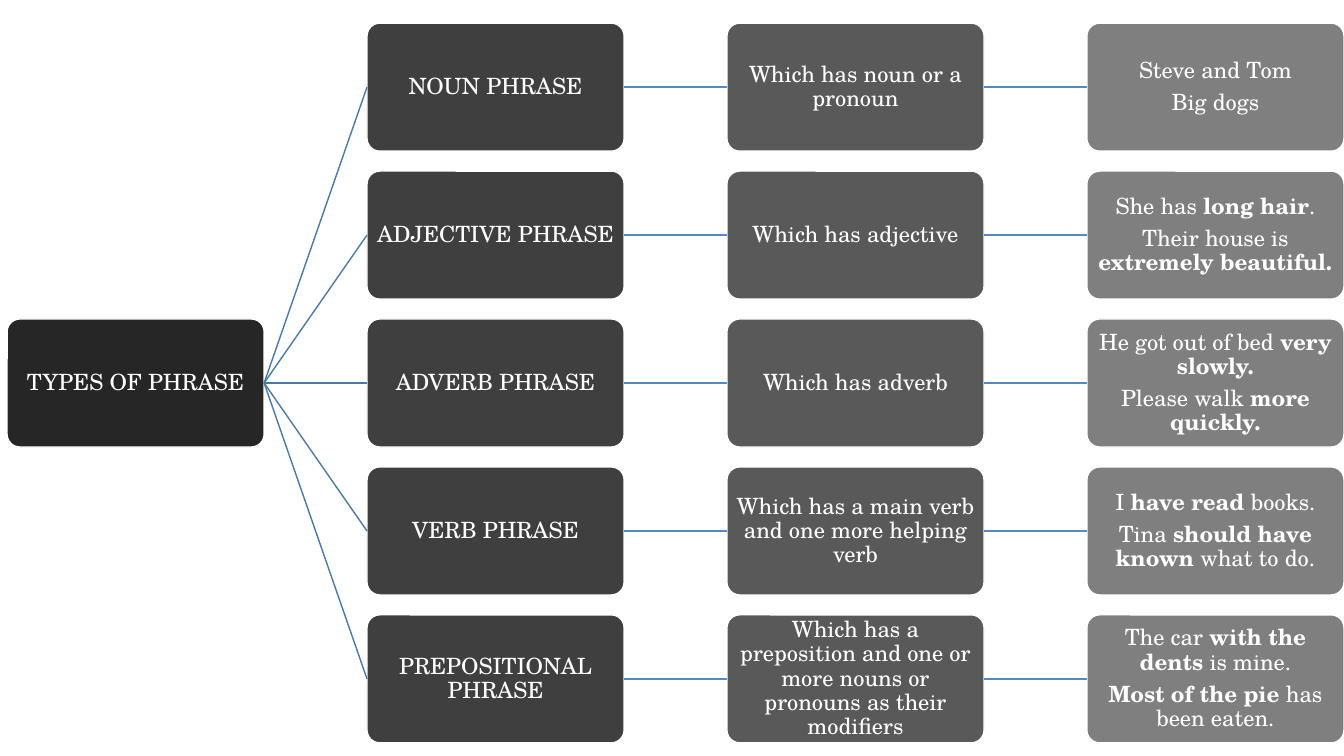
"""Build a slide with a tree of phrase types, their meanings and examples."""
from dataclasses import dataclass

from lxml import etree
from pptx import Presentation
from pptx.dml.color import RGBColor
from pptx.enum.shapes import MSO_CONNECTOR, MSO_SHAPE
from pptx.enum.text import MSO_ANCHOR, PP_ALIGN
from pptx.oxml.ns import qn
from pptx.shapes.autoshape import Shape
from pptx.slide import Slide
from pptx.util import Inches, Pt

ROUNDED = MSO_SHAPE.ROUNDED_RECTANGLE
STRAIGHT = MSO_CONNECTOR.STRAIGHT
MIDDLE = MSO_ANCHOR.MIDDLE
CENTER = PP_ALIGN.CENTER

WHITE = RGBColor(0xFF, 0xFF, 0xFF)
COLUMN_FILLS = (
    RGBColor(0x26, 0x26, 0x26),
    RGBColor(0x3F, 0x3F, 0x3F),
    RGBColor(0x59, 0x59, 0x59),
    RGBColor(0x7F, 0x7F, 0x7F),
)
BRANCH_BLUE = RGBColor(0x48, 0x7A, 0xA8)
LINK_BLUE = RGBColor(0x52, 0x8C, 0xBE)

FONT = "TeX Gyre Schola"
BOX_WIDTH, BOX_HEIGHT = 2.55, 1.27
FIRST_LEFT, COLUMN_STEP = 0.07, 3.57
FIRST_TOP, LAST_TOP = 0.23, 6.1
BLANK_LAYOUT = 6
LEFT_SITE, RIGHT_SITE = 1, 3
BOLD_MARK = "*"


@dataclass(frozen=True)
class PhraseType:
    """A phrase type; asterisks enclose the bold words of its examples."""

    name: str
    meaning: str
    examples: tuple[str, str]


PHRASE_TYPES = (
    PhraseType("NOUN PHRASE", "Which has noun or a pronoun",
               ("Steve and Tom", "Big dogs")),
    PhraseType("ADJECTIVE PHRASE", "Which has adjective",
               ("She has *long hair*.", "Their house is *extremely beautiful.*")),
    PhraseType("ADVERB PHRASE", "Which has adverb",
               ("He got out of bed *very slowly.*", "Please walk *more quickly.*")),
    PhraseType("VERB PHRASE", "Which has a main verb and one more helping verb",
               ("I *have read *books.", "Tina *should have known *what to do.")),
    PhraseType("PREPOSITIONAL PHRASE",
               "Which has a preposition and one or more nouns or pronouns as their modifiers",
               ("The car *with the dents* is mine.",
                "*Most of the pie* has been eaten.")),
)
ROW_STEP = (LAST_TOP - FIRST_TOP) / (len(PHRASE_TYPES) - 1)


def write_lines(box: Shape, lines: tuple[str, ...]) -> None:
    """Write one centred paragraph per line, with marked words in bold."""
    frame = box.text_frame
    frame.word_wrap = True
    frame.vertical_anchor = MIDDLE
    frame.margin_left = frame.margin_right = Inches(0.01)
    frame.margin_top = frame.margin_bottom = Inches(0.01)
    for index, line in enumerate(lines):
        para = frame.add_paragraph() if index else frame.paragraphs[0]
        para.alignment = CENTER
        para.line_spacing = 0.9
        para.space_before = Pt(5.6 if index else 0)
        for position, words in enumerate(line.split(BOLD_MARK)):
            if words:
                span = para.add_run()
                span.text = words
                span.font.name = FONT
                span.font.size = Pt(16)
                span.font.bold = position % 2 == 1
                span.font.color.rgb = WHITE


def add_box(page: Slide, column: int, row: int, lines: tuple[str, ...]) -> Shape:
    """Add a rounded box at a place in the grid."""
    box = page.shapes.add_shape(
        ROUNDED,
        Inches(FIRST_LEFT + column * COLUMN_STEP),
        Inches(FIRST_TOP + row * ROW_STEP),
        Inches(BOX_WIDTH),
        Inches(BOX_HEIGHT),
    )
    box.adjustments[0] = 0.1
    box.shadow.inherit = False
    box.fill.solid()
    box.fill.fore_color.rgb = COLUMN_FILLS[column]
    box.line.color.rgb = WHITE
    box.line.width = Pt(1)
    write_lines(box, lines)
    return box


def connect(page: Slide, start: Shape, end: Shape, color: RGBColor) -> None:
    """Join the right side of one box to the left side of the next."""
    link = page.shapes.add_connector(STRAIGHT, 0, 0, 0, 0)
    link.begin_connect(start, RIGHT_SITE)
    link.end_connect(end, LEFT_SITE)
    link.line.color.rgb = color
    link.line.width = Pt(1)
    etree.SubElement(link.element.spPr, qn("a:effectLst"))


def main() -> None:
    """Draw the tree and save the deck."""
    deck = Presentation()
    deck.slide_width, deck.slide_height = Inches(13.33), Inches(7.5)
    page = deck.slides.add_slide(deck.slide_layouts[BLANK_LAYOUT])
    root = add_box(page, 0, len(PHRASE_TYPES) // 2, ("TYPES OF PHRASE",))
    for row, phrase in enumerate(PHRASE_TYPES):
        name = add_box(page, 1, row, (phrase.name,))
        meaning = add_box(page, 2, row, (phrase.meaning,))
        examples = add_box(page, 3, row, phrase.examples)
        connect(page, root, name, BRANCH_BLUE)
        connect(page, name, meaning, LINK_BLUE)
        connect(page, meaning, examples, LINK_BLUE)
    deck.save("out.pptx")


if __name__ == "__main__":
    main()
